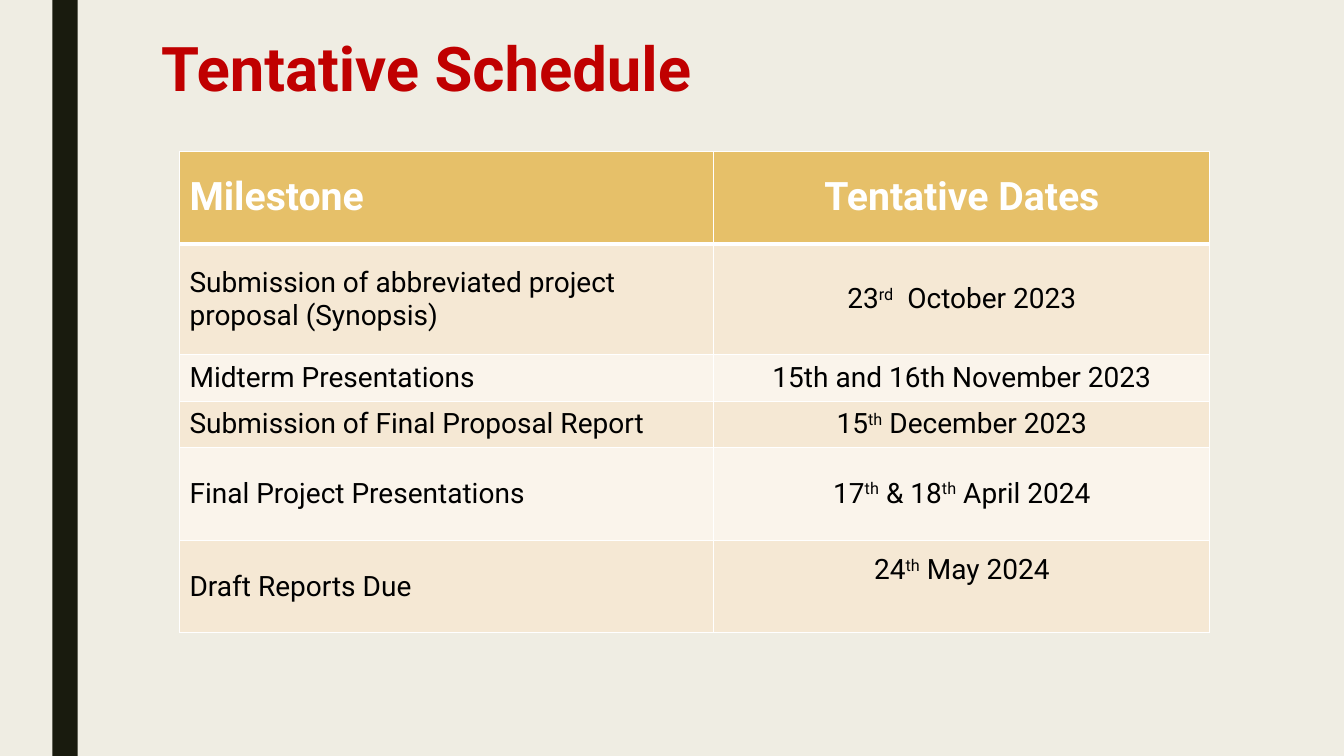
from dataclasses import dataclass

import lxml.etree
import pptx
import pptx.dml.color
import pptx.enum.shapes
import pptx.enum.text
import pptx.oxml.ns
import pptx.slide
import pptx.table
import pptx.text.text
import pptx.util

RGBColor = pptx.dml.color.RGBColor
Inches = pptx.util.Inches
Align = pptx.enum.text.PP_ALIGN
Anchor = pptx.enum.text.MSO_ANCHOR

FONT = "Roboto"
PAPER = RGBColor(0xEF, 0xED, 0xE3)
STRIPE = RGBColor(0x19, 0x1B, 0x0E)
RED = RGBColor(0xC0, 0x00, 0x00)
GOLD = RGBColor(0xE6, 0xC0, 0x69)
SAND = RGBColor(0xF5, 0xE8, 0xD4)
CREAM = RGBColor(0xFA, 0xF4, 0xEB)
WHITE = RGBColor(0xFF, 0xFF, 0xFF)
BLACK = RGBColor(0x00, 0x00, 0x00)

COLUMN_WIDTHS = (5.3, 4.92)


@dataclass(frozen=True)
class Style:
    size: float
    color: RGBColor
    bold: bool


@dataclass(frozen=True)
class Milestone:
    name: str
    date: tuple[str, ...]
    height: float
    bottom_margin: float = 0.05


TITLE = Style(44, RED, True)
HEADER = Style(28, WHITE, True)
BODY = Style(20, BLACK, False)

SCHEDULE = (
    Milestone("Milestone", ("Tentative Dates",), 0.92),
    Milestone("Submission of abbreviated project proposal (Synopsis)",
              ("23", "rd", "  October 2023"), 1.1),
    Milestone("Midterm Presentations", ("15th and 16th November 2023",), 0.46),
    Milestone("Submission of Final Proposal Report",
              ("15", "th", " December 2023"), 0.46),
    Milestone("Final Project Presentations",
              ("17", "th", " & 18", "th", " April 2024"), 0.92),
    Milestone("Draft Reports Due", ("24", "th", " May 2024"), 0.92, 0.38),
)


def add_spans(para: pptx.text.text._Paragraph, texts: tuple[str, ...],
              style: Style) -> None:
    for index, text in enumerate(texts):
        span = para.add_run()
        span.text = text
        span.font.name = FONT
        span.font.size = pptx.util.Pt(style.size)
        span.font.bold = style.bold
        span.font.color.rgb = style.color
        if index % 2:
            span.font._element.set("baseline", "30000")


def set_borders(cell: pptx.table._Cell, top: float, bottom: float) -> None:
    properties = cell._tc.get_or_add_tcPr()
    widths = {"a:lnL": 1, "a:lnR": 1, "a:lnT": top, "a:lnB": bottom}
    qn = pptx.oxml.ns.qn
    for index, (tag, width) in enumerate(widths.items()):
        line = lxml.etree.Element(qn(tag), w=str(pptx.util.Pt(width)))
        fill = lxml.etree.SubElement(line, qn("a:solidFill"))
        lxml.etree.SubElement(fill, qn("a:srgbClr"), val=str(WHITE))
        properties.insert(index, line)


def fill_cell(cell: pptx.table._Cell, texts: tuple[str, ...], style: Style,
              fill: RGBColor, align: Align) -> None:
    cell.fill.solid()
    cell.fill.fore_color.rgb = fill
    cell.vertical_anchor = Anchor.MIDDLE
    para = cell.text_frame.paragraphs[0]
    para.alignment = align
    add_spans(para, texts, style)


def add_stripe(page: pptx.slide.Slide) -> None:
    stripe = page.shapes.add_shape(
        pptx.enum.shapes.MSO_SHAPE.RECTANGLE,
        Inches(0.52), Inches(0), Inches(0.25), Inches(7.5))
    stripe.shadow.inherit = False
    stripe.fill.solid()
    stripe.fill.fore_color.rgb = STRIPE
    stripe.line.fill.background()


def add_title(page: pptx.slide.Slide) -> None:
    box = page.shapes.add_textbox(
        Inches(1.5), Inches(0.34), Inches(10.5), Inches(1.62))
    box.text_frame.word_wrap = True
    para = box.text_frame.paragraphs[0]
    para.line_spacing = 0.89
    add_spans(para, ("Tentative Schedule",), TITLE)


def add_schedule(page: pptx.slide.Slide) -> None:
    table = page.shapes.add_table(
        len(SCHEDULE), len(COLUMN_WIDTHS), Inches(1.78), Inches(1.5),
        Inches(sum(COLUMN_WIDTHS)),
        Inches(sum(milestone.height for milestone in SCHEDULE))).table
    for column, width in zip(table.columns, COLUMN_WIDTHS):
        column.width = Inches(width)
    for index, milestone in enumerate(SCHEDULE):
        table.rows[index].height = Inches(milestone.height)
        style = BODY if index else HEADER
        fill = (SAND if index % 2 else CREAM) if index else GOLD
        name_cell, date_cell = table.cell(index, 0), table.cell(index, 1)
        fill_cell(name_cell, (milestone.name,), style, fill, Align.LEFT)
        fill_cell(date_cell, milestone.date, style, fill, Align.CENTER)
        date_cell.margin_bottom = Inches(milestone.bottom_margin)
        for cell in (name_cell, date_cell):
            set_borders(cell, 3 if index == 1 else 1, 1 if index else 3)


def main() -> None:
    deck = pptx.Presentation()
    deck.slide_width = Inches(13.33)
    deck.slide_height = Inches(7.5)
    page = deck.slides.add_slide(deck.slide_layouts[6])
    page.background.fill.solid()
    page.background.fill.fore_color.rgb = PAPER
    add_stripe(page)
    add_title(page)
    add_schedule(page)
    deck.save("out.pptx")


if __name__ == "__main__":
    main()
